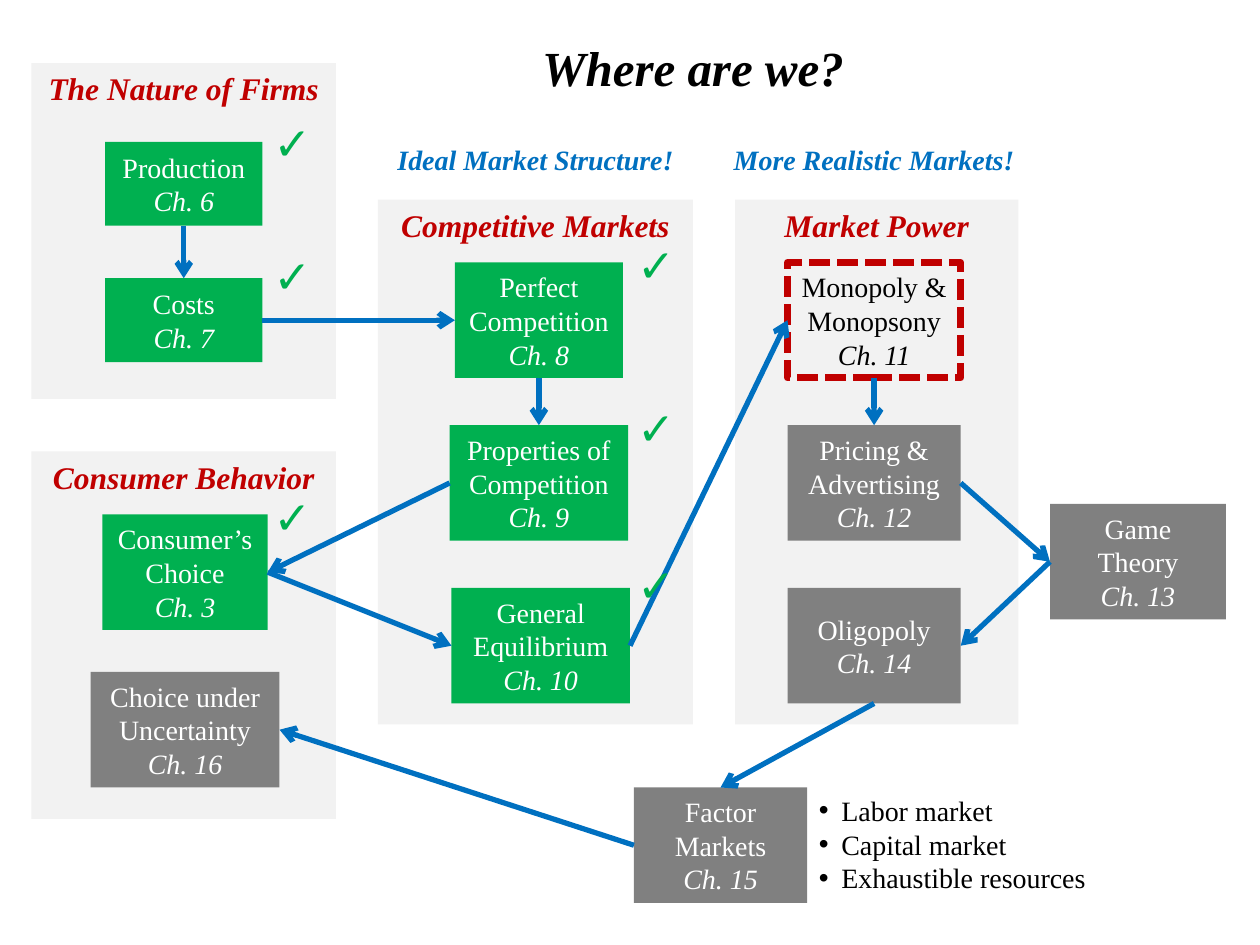
from lxml import etree
from pptx import Presentation
from pptx.dml.color import RGBColor
from pptx.enum.dml import MSO_LINE
from pptx.enum.shapes import MSO_CONNECTOR, MSO_SHAPE
from pptx.enum.text import MSO_ANCHOR, MSO_AUTO_SIZE, PP_ALIGN
from pptx.oxml.ns import qn
from pptx.util import Inches, Pt

RECTANGLE = MSO_SHAPE.RECTANGLE
STRAIGHT = MSO_CONNECTOR.STRAIGHT
SQUARE_DASH = MSO_LINE.SQUARE_DOT
TOP_ANCHOR, MIDDLE_ANCHOR = MSO_ANCHOR.TOP, MSO_ANCHOR.MIDDLE
GROW = MSO_AUTO_SIZE.SHAPE_TO_FIT_TEXT
LEFT_ALIGN, CENTER_ALIGN = PP_ALIGN.LEFT, PP_ALIGN.CENTER
TOP, LEFT, BOTTOM, RIGHT = range(4)

BLACK = RGBColor(0x00, 0x00, 0x00)
WHITE = RGBColor(0xFF, 0xFF, 0xFF)
PALE = RGBColor(0xF2, 0xF2, 0xF2)
GRAY = RGBColor(0x80, 0x80, 0x80)
GREEN = RGBColor(0x00, 0xB0, 0x50)
BLUE = RGBColor(0x00, 0x70, 0xC0)
RED = RGBColor(0xC0, 0x00, 0x00)

COLUMNS, ROWS = 240, 180
SERIF, SANS = "Times New Roman", "Arial"
SMALL, TALL = 16, 22
CHECK_LEFT, CHECK_RIGHT = 49.7, 119

PANELS = [
    ("The Nature of Firms", 6, 12, 58, 64),
    ("Competitive Markets", 72, 38, 60, 100),
    ("Consumer Behavior", 6, 86, 58, 70),
    ("Market Power", 140, 38, 54, 100),
]
TOPICS = [
    ("Production", 6, 20, 27, 30, SMALL, GREEN),
    ("Costs", 7, 20, 53, 30, SMALL, GREEN),
    ("Perfect Competition", 8, 86.65, 50, 32, TALL, GREEN),
    ("Properties of Competition", 9, 85.65, 81, 34, TALL, GREEN),
    ("General Equilibrium", 10, 86, 112, 34, TALL, GREEN),
    ("Consumer’s Choice", 3, 19.5, 98, 31.5, TALL, GREEN),
    ("Monopoly & Monopsony", 11, 150, 50, 33, TALL, None),
    ("Pricing & Advertising", 12, 150, 81, 33, TALL, GRAY),
    ("Game Theory", 13, 200, 96, 33.5, TALL, GRAY),
    ("Oligopoly", 14, 150, 112, 33, TALL, GRAY),
    ("Factor Markets", 15, 120.75, 150, 33, TALL, GRAY),
    ("Choice under Uncertainty", 16, 17.25, 128, 36, TALL, GRAY),
]
ARROWS = [
    (6, BOTTOM, 7, TOP),
    (7, RIGHT, 8, LEFT),
    (8, BOTTOM, 9, TOP),
    (9, LEFT, 3, RIGHT),
    (3, RIGHT, 10, LEFT),
    (10, RIGHT, 11, LEFT),
    (11, BOTTOM, 12, TOP),
    (12, RIGHT, 13, LEFT),
    (13, LEFT, 14, RIGHT),
    (14, BOTTOM, 15, TOP),
    (15, LEFT, 16, RIGHT),
]
HEADINGS = [
    ("Ideal Market Structure!", 71.75, 26, 60.5, 9, 16, BLUE),
    ("More Realistic Markets!", 136.25, 26, 60.5, 9, 16, BLUE),
    ("Where are we?", 75.75, 6, 112.5, 13.75, 28, BLACK),
]
FACTOR_MARKETS = ["Labor market", "Capital market", "Exhaustible resources"]
CHECKS = [
    (CHECK_LEFT, 20.65), (CHECK_LEFT, 46), (CHECK_RIGHT, 44),
    (CHECK_RIGHT, 75), (CHECK_LEFT, 92), (CHECK_RIGHT, 105),
]


class CourseMap:
    def __init__(self, presentation):
        self.slide = presentation.slides.add_slide(presentation.slide_layouts[6])
        self.column = presentation.slide_width / COLUMNS
        self.row = presentation.slide_height / ROWS

    def place(self, left, top, width, height):
        return (round(left * self.column), round(top * self.row),
                round(width * self.column), round(height * self.row))

    def styled_run(self, paragraph, text, size, color, font=SERIF, bold=False, italic=False):
        run = paragraph.add_run()
        run.text = text
        run.font.name = font
        run.font.size = Pt(size)
        run.font.color.rgb = color
        run.font.bold = bold
        run.font.italic = italic

    def rectangle(self, area, fill, anchor):
        shape = self.slide.shapes.add_shape(RECTANGLE, *self.place(*area))
        shape.shadow.inherit = False
        if fill is None:
            shape.fill.background()
            shape.line.color.rgb = RED
            shape.line.width = Pt(4)
            shape.line.dash_style = SQUARE_DASH
        else:
            shape.fill.solid()
            shape.fill.fore_color.rgb = fill
            shape.line.fill.background()
        shape.text_frame.word_wrap = True
        shape.text_frame.vertical_anchor = anchor
        shape.text_frame.paragraphs[0].alignment = CENTER_ALIGN
        return shape

    def panel(self, title, *area):
        shape = self.rectangle(area, PALE, TOP_ANCHOR)
        self.styled_run(shape.text_frame.paragraphs[0], title, 18, RED, bold=True, italic=True)

    def topic(self, name, chapter, left, top, width, height, fill):
        shape = self.rectangle((left, top, width, height), fill, MIDDLE_ANCHOR)
        color = BLACK if fill is None else WHITE
        self.styled_run(shape.text_frame.paragraphs[0], name, 16, color)
        paragraph = shape.text_frame.add_paragraph()
        paragraph.alignment = CENTER_ALIGN
        self.styled_run(paragraph, f"Ch. {chapter}", 16, color, italic=True)
        return shape

    def arrow(self, source, source_side, target, target_side):
        connector = self.slide.shapes.add_connector(STRAIGHT, 0, 0, 0, 0)
        connector.begin_connect(source, source_side)
        connector.end_connect(target, target_side)
        connector.line.color.rgb = BLUE
        connector.line.width = Pt(3)
        properties = connector._element.spPr
        etree.SubElement(properties.find(qn("a:ln")), qn("a:tailEnd"), type="arrow")
        etree.SubElement(properties, qn("a:effectLst"))

    def label(self, lines, area, size, color, alignment=CENTER_ALIGN, **style):
        frame = self.slide.shapes.add_textbox(*self.place(*area)).text_frame
        frame.word_wrap = True
        frame.auto_size = GROW
        for index, line in enumerate(lines):
            paragraph = frame.add_paragraph() if index else frame.paragraphs[0]
            paragraph.alignment = alignment
            self.styled_run(paragraph, line, size, color, **style)
        return frame

    def bullets(self, lines, area):
        frame = self.label(lines, area, 16, BLACK, LEFT_ALIGN)
        indent = Inches(0.18)
        for paragraph in frame.paragraphs:
            properties = paragraph._p.get_or_add_pPr()
            properties.set("marL", str(indent))
            properties.set("indent", str(-indent))
            etree.SubElement(properties, qn("a:buFont"), typeface=SANS)
            etree.SubElement(properties, qn("a:buChar"), char="•")


def main():
    presentation = Presentation()
    presentation.slide_width = Inches(10)
    presentation.slide_height = Inches(7.5)
    course_map = CourseMap(presentation)
    for panel in PANELS:
        course_map.panel(*panel)
    chapters = {topic[1]: course_map.topic(*topic) for topic in TOPICS}
    for source, source_side, target, target_side in ARROWS:
        course_map.arrow(chapters[source], source_side, chapters[target], target_side)
    course_map.bullets(FACTOR_MARKETS, (153.6, 150, 64.25, 22))
    for text, *area, size, color in HEADINGS:
        course_map.label([text], area, size, color, bold=True, italic=True)
    for left, top in CHECKS:
        course_map.label(["✓"], (left, top, 10, 13), 26, GREEN, font=SANS)
    presentation.save("out.pptx")


if __name__ == "__main__":
    main()
